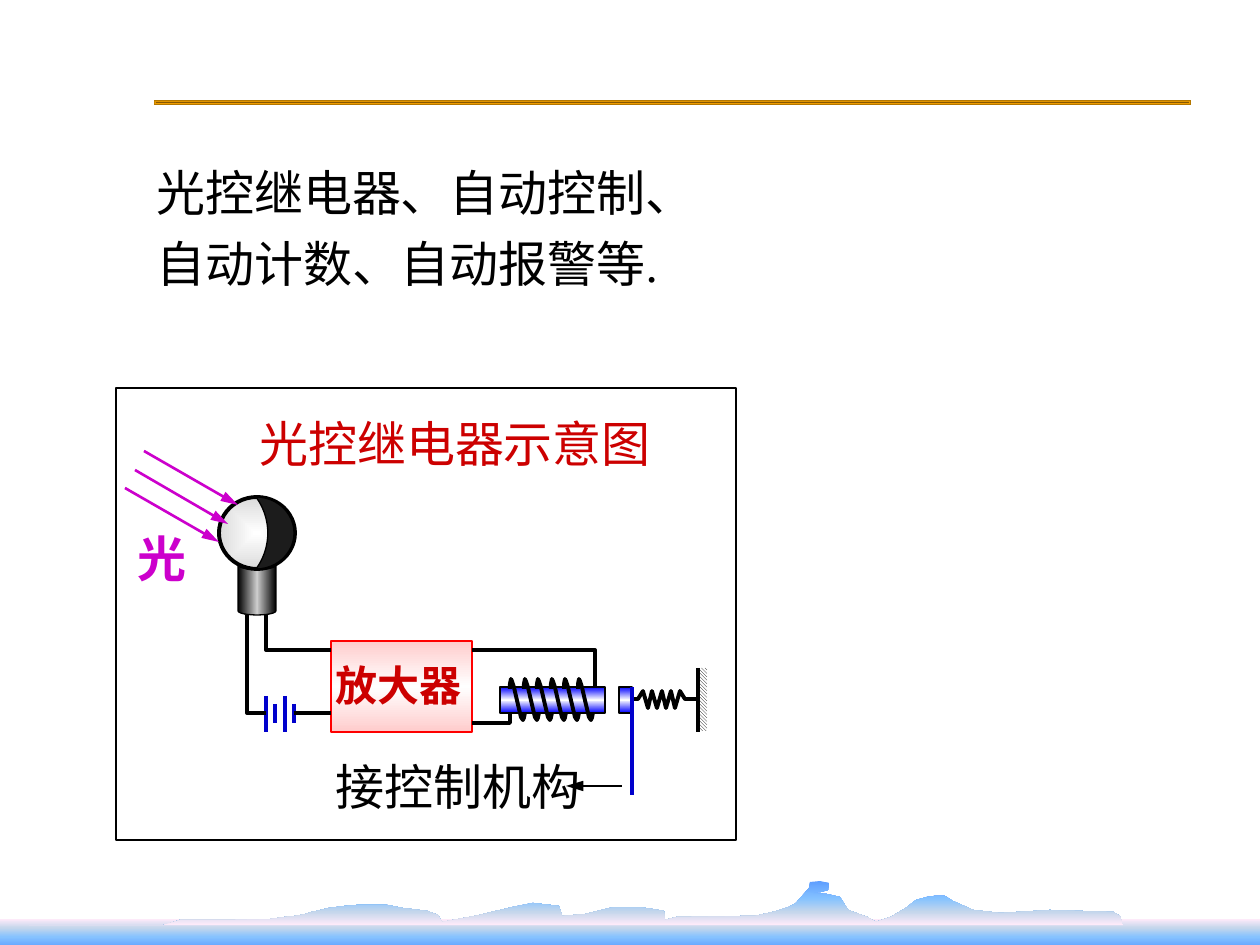
import pptx
import pptx.dml.color
import pptx.enum.dml
import pptx.enum.shapes
import pptx.enum.text
import pptx.oxml
import pptx.oxml.ns
import pptx.util

RGB = pptx.dml.color.RGBColor
SHAPE = pptx.enum.shapes.MSO_SHAPE
PX = 914400 / 126
NS = pptx.oxml.ns.nsdecls("a")

BLACK, WHITE = RGB(0, 0, 0), RGB(0xFF, 0xFF, 0xFF)
RED, EDGE_RED = RGB(0xCC, 0, 0), RGB(0xFF, 0, 0)
VIOLET, NAVY = RGB(0xCC, 0, 0xCC), RGB(0, 0, 0xCC)
CHARCOAL, BLUE = RGB(0x1C, 0x1C, 0x1C), RGB(0, 0, 0xFF)
BROWN, GOLD = RGB(0x82, 0x56, 0), RGB(0xFF, 0xA8, 0)
GREY, SILVER = RGB(0xCC, 0xCC, 0xCC), RGB(0xDB, 0xDB, 0xDB)
PINK = RGB(0xFF, 0xCC, 0xCC)
SKY = [RGB(0xFF, 0xEB, 0xFA), RGB(0xC4, 0xD6, 0xEB),
       RGB(0x85, 0xC2, 0xFF), RGB(0x5E, 0x9E, 0xFF)]

# Gradients: (stops, angle in degrees, or None for a gradient from the centre)
GOLD_BAR = (list(zip((0, 13, 28, 43, 58, 72, 87, 100), [BROWN, GOLD] * 4)), None)
WATER = (list(zip((0, 30, 60, 100), SKY)), 90)
HILLS = (list(zip((0, 40, 70, 100), SKY[::-1])), 90)
IRON = ([(0, BLUE), (50, WHITE), (100, BLUE)], 90)
CAP = ([(0, BLACK), (50, GREY), (100, BLACK)], 0)
BULB = ([(0, WHITE), (100, SILVER)], None)
AMPLIFIER = ([(0, PINK), (50, WHITE), (100, PINK)], 90)

COAST = [
    (29, 925), (164, 925), (180, 920), (224, 920), (270, 919), (285, 917),
    (295, 916), (306, 914), (312, 912), (329, 908), (345, 906), (357, 905),
    (387, 905), (403, 908), (427, 911), (438, 915), (442, 922), (480, 915),
    (496, 911), (513, 907), (533, 903), (559, 906), (562, 916), (586, 914),
    (614, 907), (640, 907), (664, 911), (665, 920), (677, 917), (742, 916),
    (755, 916), (777, 911), (789, 907), (796, 903), (809, 888), (810, 882),
    (820, 881), (829, 883), (828, 890), (821, 892), (808, 893), (827, 894),
    (840, 897), (848, 910), (867, 917), (876, 922), (891, 917), (906, 908),
    (916, 900), (927, 897), (934, 896), (945, 896), (953, 901), (973, 910),
    (1000, 913), (1050, 910), (1113, 912), (1120, 916), (1123, 925),
]

# Circuit parts: preset, (left, top, width, height), fill, line colour, line pt, adjustment
PARTS = [
    (SHAPE.RECTANGLE, (116, 388, 620, 452), WHITE, BLACK, 0.75, None),
    (SHAPE.RECTANGLE, (500, 687, 105, 26), IRON, BLACK, 0.75, None),
    (SHAPE.RECTANGLE, (619, 687, 13, 26), IRON, BLACK, 0.75, None),
    (SHAPE.CAN, (238, 561, 38, 54), CAP, BLACK, 0.75, 0.22),
    (SHAPE.OVAL, (219, 497, 76, 72), BULB, BLACK, 2.25, None),
    (SHAPE.MOON, (256, 497, 38, 72), CHARCOAL, BLACK, 0.75, 0.69),
    (SHAPE.RECTANGLE, (331, 641, 141, 91), AMPLIFIER, EDGE_RED, 0.75, None),
]
WALL = (698, 668, 9, 63)

RAYS = [((144, 451), (238, 505)), ((135, 470), (228, 524)), ((125, 488), (219, 542))]
BATTERY = [(266, 696, 732), (275, 704, 723), (285, 696, 732), (294, 704, 723)]

COIL_TURN = [(0, 689), (0, 684), (1, 679), (2, 681), (4, 687), (7, 700),
             (11, 717), (13, 720), (14, 718), (15, 713)]
COIL_LEFT, COIL_STEP, COIL_TURNS = 510, 13.6, 6
SPRING = ([(634, 699), (638, 699)]
          + [(643 + 37 * i / 8, 708 if i % 2 else 691) for i in range(9)]
          + [(685, 699), (698, 699)])
WIRES = [
    [(266, 615), (266, 650), (331, 650)],
    [(247, 615), (247, 713), (266, 713)],
    [(472, 650), (595, 650), (595, 687)],
    [(472, 723), (510, 723), (510, 713)],
    *[[(COIL_LEFT + COIL_STEP * i + x, y) for x, y in COIL_TURN]
      for i in range(COIL_TURNS)],
    SPRING,
]

LABELS = [
    ("放大器", (323, 653, 197, 63), dict(size=24, color=RED, bold=True)),
    ("接控制机构", (323, 750, 319, 72), dict()),
    ("光", (125, 522, 122, 72), dict(color=VIOLET, bold=True)),
    ("光控继电器示意图", (247, 407, 469, 72), dict(color=RED)),
]
USES = [[("光控继电器、自动控制、", "Noto Sans CJK SC")],
        [("自动计数、自动报警等", "Noto Sans CJK SC"), (".", "Times New Roman")]]


def emu(*lengths):
    return [round(n * PX) for n in lengths]


def paint(sp, fill, line=None, width=0.75):
    """Fill with a colour, a gradient or nothing, and set the outline."""
    sp.shadow.inherit = False
    sp.fill.background()
    if isinstance(fill, RGB):
        sp.fill.solid()
        sp.fill.fore_color.rgb = fill
    elif fill:
        stops, angle = fill
        gs = "".join(f'<a:gs pos="{pos * 1000}"><a:srgbClr val="{c}"/></a:gs>'
                     for pos, c in stops)
        shade = (f'<a:lin ang="{angle * 60000}" scaled="0"/>' if angle is not None else
                 '<a:path path="rect"><a:fillToRect l="50000" t="50000" '
                 'r="50000" b="50000"/></a:path>')
        grad = pptx.oxml.parse_xml(
            f'<a:gradFill {NS} rotWithShape="1"><a:gsLst>{gs}</a:gsLst>{shade}</a:gradFill>')
        spPr = sp._element.spPr
        spPr.replace(spPr.find(pptx.oxml.ns.qn("a:noFill")), grad)
    if line is None:
        sp.line.fill.background()
    else:
        sp.line.color.rgb = line
        sp.line.width = pptx.util.Pt(width)


def add_part(s, preset, box, fill, line=None, width=0.75, adjust=None):
    sp = s.shapes.add_shape(preset, *emu(*box))
    if adjust is not None:
        sp.adjustments[0] = adjust
    paint(sp, fill, line, width)
    return sp


def add_path(s, points, fill=None, line=None, width=2.25, close=False):
    builder = s.shapes.build_freeform(*points[0], scale=PX)
    builder.add_line_segments(points[1:], close=close)
    paint(builder.convert_to_shape(), fill, line, width)


def add_line(s, start, end, color=BLACK, width=2.25, arrow=False):
    line = s.shapes.add_connector(
        pptx.enum.shapes.MSO_CONNECTOR.STRAIGHT, *emu(*start, *end))
    line.line.color.rgb = color
    line.line.width = pptx.util.Pt(width)
    if arrow:
        line.line._get_or_add_ln().append(
            pptx.oxml.parse_xml(f'<a:tailEnd {NS} type="triangle" w="med" len="lg"/>'))
    line._element.spPr.append(pptx.oxml.parse_xml(f"<a:effectLst {NS}/>"))


def add_text(s, paragraphs, box, size=28, color=BLACK, bold=False, spacing=None):
    """Add a text box; each paragraph is a list of (text, font name) runs."""
    tf = s.shapes.add_textbox(*emu(*box)).text_frame
    tf.word_wrap = True
    tf.auto_size = pptx.enum.text.MSO_AUTO_SIZE.SHAPE_TO_FIT_TEXT
    for i, runs in enumerate(paragraphs):
        p = tf.add_paragraph() if i else tf.paragraphs[0]
        p.line_spacing = spacing
        for text, font in runs:
            r = p.add_run()
            r.text = text
            r.font.name, r.font.size = font, pptx.util.Pt(size)
            r.font.bold, r.font.color.rgb = bold, color
            r.font._element.find(pptx.oxml.ns.qn("a:latin")).addnext(
                pptx.oxml.parse_xml(f'<a:ea {NS} typeface="Noto Sans CJK SC"/>'))


def main():
    prs = pptx.Presentation()
    prs.slide_width, prs.slide_height = emu(1260, 945)
    s = prs.slides.add_slide(prs.slide_layouts[6])

    add_part(s, SHAPE.RECTANGLE, (154, 100, 1037, 5), GOLD_BAR)
    add_part(s, SHAPE.RECTANGLE, (0, 919, 1260, 30), WATER)
    add_path(s, COAST, fill=HILLS, close=True)

    for part in PARTS:
        sp = add_part(s, *part)
        if part[0] == SHAPE.MOON:
            sp.rotation = 180
    wall = add_part(s, SHAPE.RECTANGLE, WALL, None)
    wall.fill.patterned()
    wall.fill.pattern = pptx.enum.dml.MSO_PATTERN.DARK_DOWNWARD_DIAGONAL
    wall.fill.fore_color.rgb, wall.fill.back_color.rgb = BLACK, WHITE

    for start, end in RAYS:
        add_line(s, start, end, VIOLET, 1.5, arrow=True)
    for x, top, bottom in BATTERY:
        add_line(s, (x, top), (x, bottom), NAVY)
    for wire in WIRES:
        add_path(s, wire, line=BLACK)
    add_line(s, (294, 713), (331, 713))
    add_line(s, (698, 668), (698, 732))
    add_line(s, (632, 687), (632, 795), NAVY)
    add_line(s, (622, 786), (566, 786), width=0.75, arrow=True)

    for text, box, style in LABELS:
        add_text(s, [[(text, "Arial")]], box, **style)
    add_text(s, USES, (144, 145, 704, 149), spacing=1.2)
    prs.save("out.pptx")


if __name__ == "__main__":
    main()
